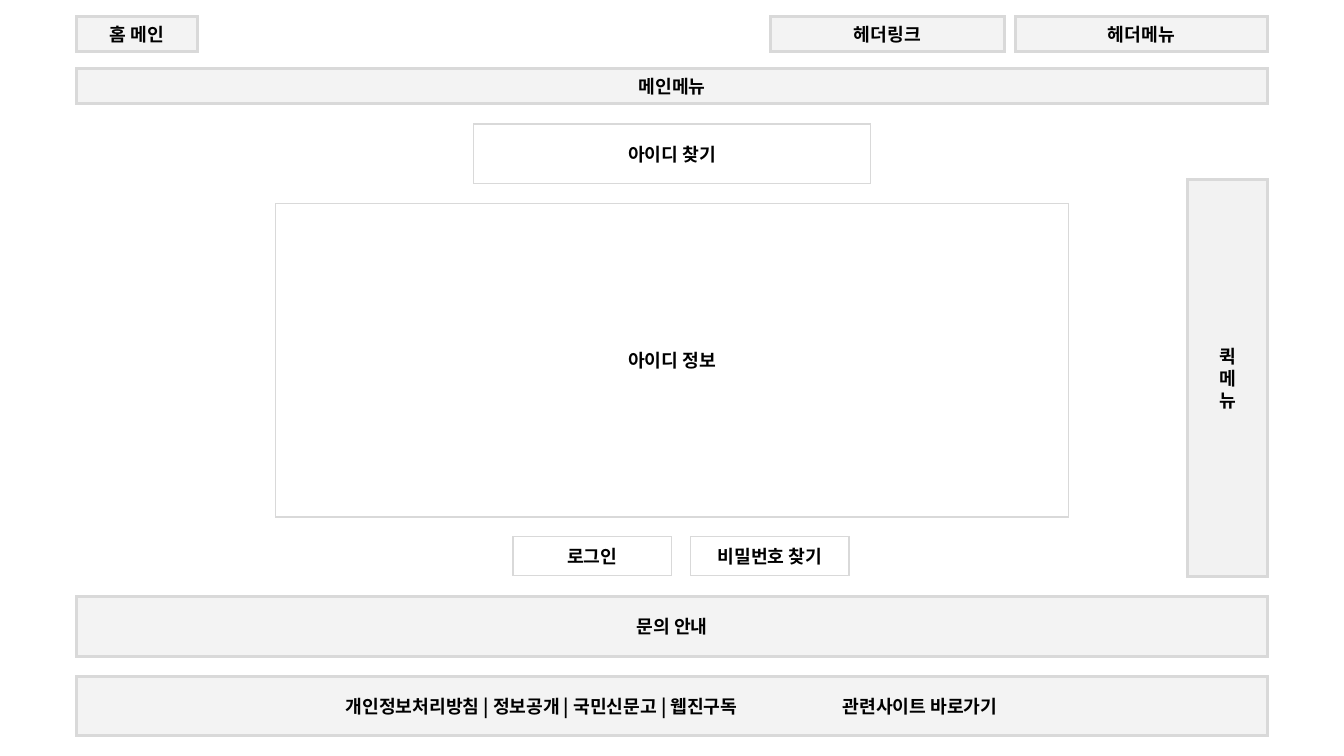
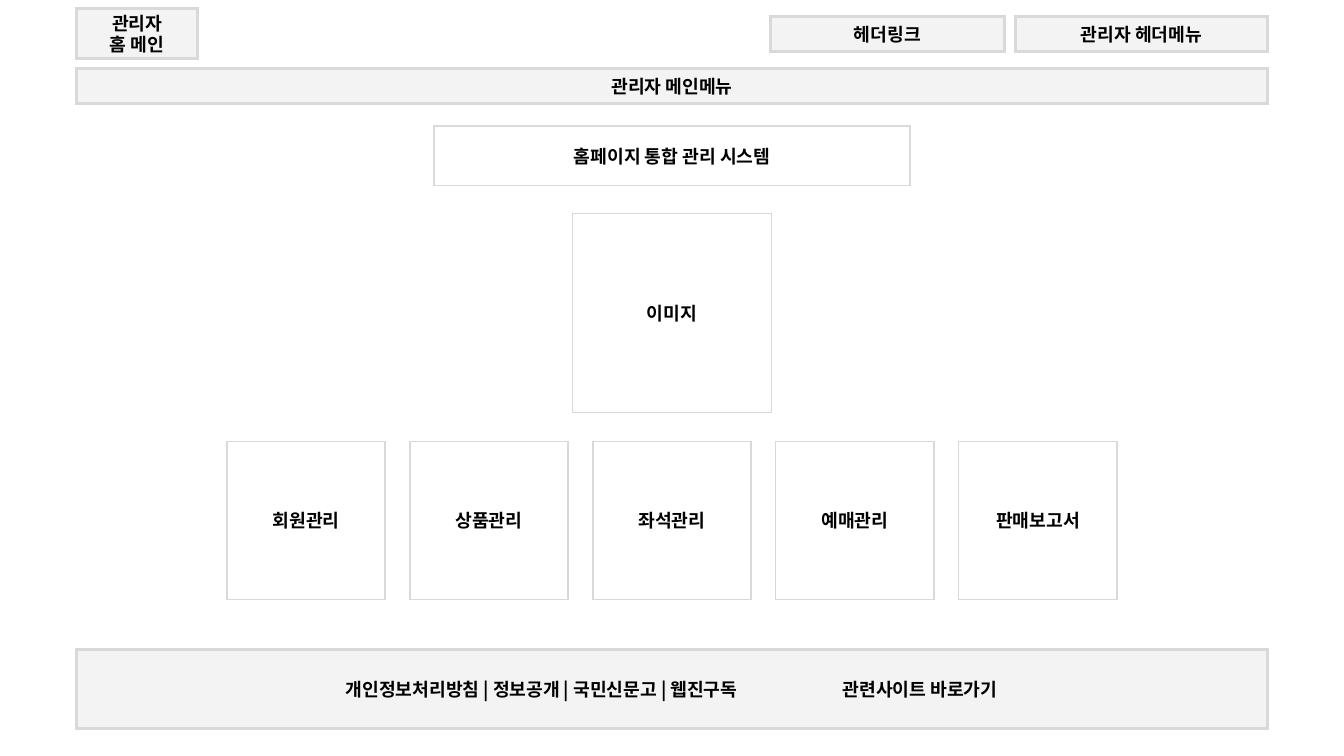
import pptx
import pptx.util
import pptx.dml.color
import pptx.enum.shapes
import pptx.enum.text
import pptx.oxml.ns
from lxml import etree

Inches = pptx.util.Inches
RGBColor = pptx.dml.color.RGBColor
BLACK = RGBColor(0x00, 0x00, 0x00)
WHITE = RGBColor(0xFF, 0xFF, 0xFF)
BAND_GRAY = RGBColor(0xD9, 0xD9, 0xD9)
QUICK_GRAY = RGBColor(0xBF, 0xBF, 0xBF)
FONT = "Noto Sans CJK KR"
FONT_SIZE = 13

SLIDE_WIDTH, SLIDE_HEIGHT = 13.33, 7.5
LEFT, WIDTH = 0.76, 11.81
BAR_HEIGHT = 0.35
HEADER_TOP, MENU_TOP = 0.16, 0.68
FOOTER_INDENT, FOOTER_TAB = 2.67, 4.93
TITLE_HEIGHT = 0.59

BAND = {"color": BAND_GRAY, "opacity": 30, "line_width": 2}
QUICK = {"color": QUICK_GRAY, "opacity": 20, "line_width": 2}
PANEL = {"color": WHITE, "opacity": 100, "line_width": 1}

FOOTER_TEXT = "개인정보처리방침 | 정보공개 | 국민신문고 | 웹진구독\t관련사이트 바로가기"

PAGES = [
    {
        "home": ("홈 메인", BAR_HEIGHT),
        "header_menu": "헤더메뉴",
        "main_menu": "메인메뉴",
        "title": ("아이디 찾기", 1.23, 3.94),
        "footer": (6.71, 0.59),
        "boxes": [
            ("문의 안내", (LEFT, 5.92, WIDTH, 0.59), BAND),
            ("퀵\n메\n뉴", (11.78, 1.78, 0.79, 3.94), QUICK),
            ("아이디 정보", (2.73, 2.02, 7.87, 3.11), PANEL),
        ],
        "row": (["로그인", "비밀번호 찾기"], (5.09, 5.32, 3.33, 0.39)),
    },
    {
        "home": ("관리자\n홈 메인", 0.5),
        "header_menu": "관리자 헤더메뉴",
        "main_menu": "관리자 메인메뉴",
        "title": ("홈페이지 통합 관리 시스템", 1.25, 4.72),
        "footer": (6.44, 0.79),
        "boxes": [("이미지", (5.68, 2.12, 1.97, 1.97), PANEL)],
        "row": (
            ["회원관리", "상품관리", "좌석관리", "예매관리", "판매보고서"],
            (2.25, 4.38, 8.83, 1.57),
        ),
    },
]
ROW_ITEM_WIDTH = 1.57


def add_element(parent, tag, **attributes):
    return etree.SubElement(parent, pptx.oxml.ns.qn(tag), **attributes)


def style_box(shape, text, style):
    shape.fill.solid()
    shape.fill.fore_color.rgb = style["color"]
    if style["opacity"] < 100:
        color = shape.fill._xPr.find(".//" + pptx.oxml.ns.qn("a:srgbClr"))
        add_element(color, "a:alpha", val=str(style["opacity"] * 1000))
    shape.line.color.rgb = BAND_GRAY
    shape.line.width = pptx.util.Pt(style["line_width"])
    add_element(shape.line._get_or_add_ln(), "a:miter", lim="800000")

    frame = shape.text_frame
    frame.text = text
    frame.word_wrap = True
    frame.auto_size = pptx.enum.text.MSO_AUTO_SIZE.NONE
    frame.vertical_anchor = pptx.enum.text.MSO_ANCHOR.MIDDLE
    frame.margin_top = frame.margin_bottom = 0
    for paragraph in frame.paragraphs:
        paragraph.alignment = pptx.enum.text.PP_ALIGN.CENTER
        for run in paragraph.runs:
            run.font.name = FONT
            run.font.size = pptx.util.Pt(FONT_SIZE)
            run.font.bold = True
            run.font.color.rgb = BLACK
            add_element(run.font._element, "a:ea", typeface=FONT)


def add_box(slide, text, area, style):
    rectangle = pptx.enum.shapes.MSO_SHAPE.RECTANGLE
    shape = slide.shapes.add_shape(rectangle, *map(Inches, area))
    shape.shadow.inherit = False
    style_box(shape, text, style)
    return shape


def place_title(slide, text, top, width):
    title = slide.shapes.title
    title.left = Inches((SLIDE_WIDTH - width) / 2)
    title.top, title.width, title.height = map(Inches, (top, width, TITLE_HEIGHT))
    style_box(title, text, PANEL)


def add_header(slide, home, header_menu):
    home_text, home_height = home
    bars = [
        (home_text, LEFT, 1.2, home_height),
        ("헤더링크", 7.64, 2.32, BAR_HEIGHT),
        (header_menu, 10.07, 2.5, BAR_HEIGHT),
    ]
    for text, left, width, height in bars:
        top = HEADER_TOP + (BAR_HEIGHT - height) / 2
        add_box(slide, text, (left, top, width, height), BAND)


def add_footer(slide, top, height):
    footer = add_box(slide, FOOTER_TEXT, (LEFT, top, WIDTH, height), BAND)
    footer.text_frame.margin_left = Inches(FOOTER_INDENT)
    paragraph = footer.text_frame.paragraphs[0]
    paragraph.alignment = pptx.enum.text.PP_ALIGN.LEFT
    tabs = add_element(paragraph._p.get_or_add_pPr(), "a:tabLst")
    add_element(tabs, "a:tab", pos=str(Inches(FOOTER_TAB)), algn="l")


def add_row(slide, labels, area):
    left, top, width, height = area
    pitch = (width - ROW_ITEM_WIDTH) / (len(labels) - 1)
    for index, label in enumerate(labels):
        add_box(slide, label, (left + index * pitch, top, ROW_ITEM_WIDTH, height), PANEL)


def build_page(presentation, page):
    slide = presentation.slides.add_slide(presentation.slide_layouts[5])
    place_title(slide, *page["title"])
    add_header(slide, page["home"], page["header_menu"])
    add_box(slide, page["main_menu"], (LEFT, MENU_TOP, WIDTH, BAR_HEIGHT), BAND)
    for text, area, style in page["boxes"]:
        add_box(slide, text, area, style)
    add_row(slide, *page["row"])
    add_footer(slide, *page["footer"])


def main():
    presentation = pptx.Presentation()
    presentation.slide_width = Inches(SLIDE_WIDTH)
    presentation.slide_height = Inches(SLIDE_HEIGHT)
    for page in PAGES:
        build_page(presentation, page)
    presentation.save("out.pptx")


if __name__ == "__main__":
    main()
